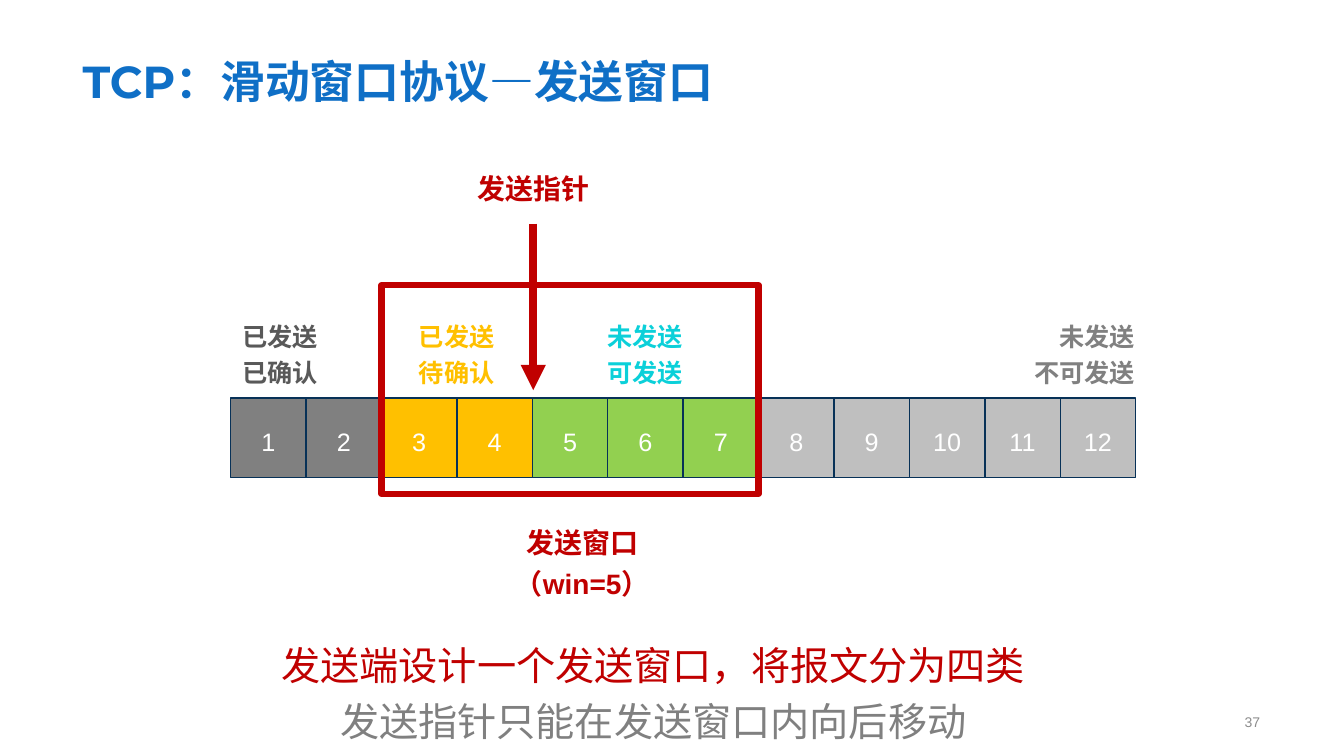
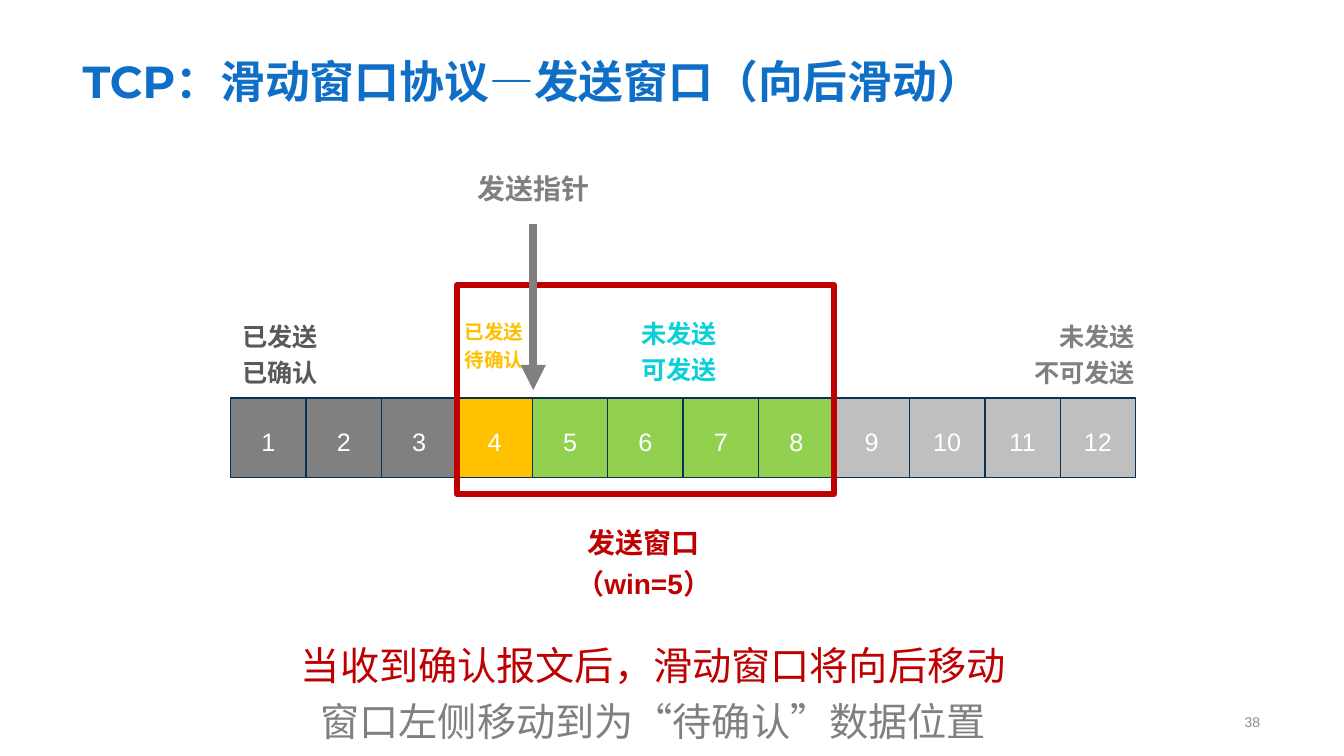
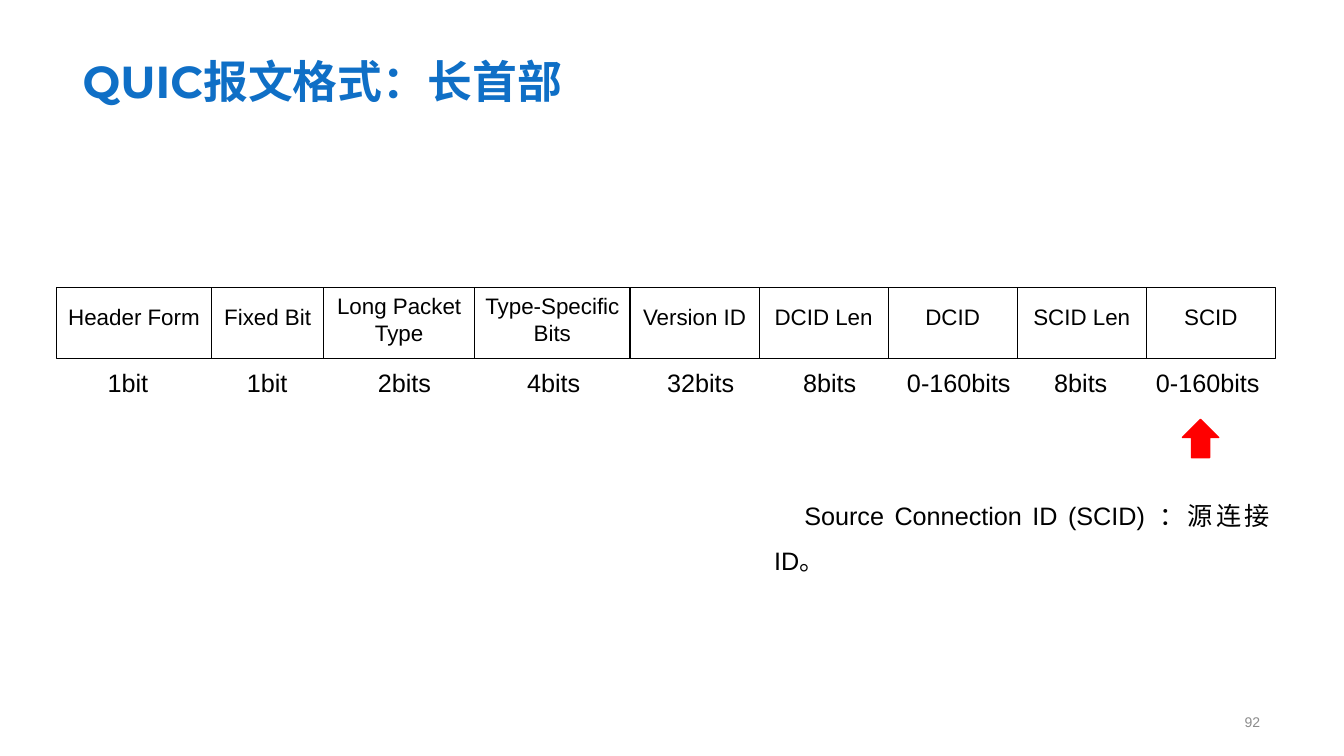
from dataclasses import dataclass
from typing import Any

from pptx import Presentation
from pptx.dml.color import RGBColor
from pptx.enum.lang import MSO_LANGUAGE_ID
from pptx.enum.shapes import MSO_CONNECTOR, MSO_SHAPE
from pptx.enum.text import MSO_ANCHOR, MSO_AUTO_SIZE, PP_ALIGN
from pptx.oxml.ns import qn
from pptx.util import Pt
from lxml.etree import SubElement

# Shared colours
TITLE_BLUE = RGBColor(0x0F, 0x6F, 0xC6)
NUMBER_GRAY = RGBColor(0x8C, 0x8C, 0x8C)
NAVY = RGBColor(0x07, 0x31, 0x57)
CRIMSON = RGBColor(0xC0, 0x00, 0x00)
RED = RGBColor(0xFF, 0x00, 0x00)
BLACK = RGBColor(0x00, 0x00, 0x00)
WHITE = RGBColor(0xFF, 0xFF, 0xFF)
DARK_GRAY = RGBColor(0x59, 0x59, 0x59)
GRAY = RGBColor(0x80, 0x80, 0x80)
LIGHT_GRAY = RGBColor(0xBF, 0xBF, 0xBF)
AMBER = RGBColor(0xFF, 0xC0, 0x00)
GREEN = RGBColor(0x92, 0xD0, 0x50)
CYAN = RGBColor(0x0B, 0xD0, 0xD9)

# Packet row geometry, in points
PACKET_COUNT = 12
WINDOW_SIZE = 5
ROW_LEFT, ROW_TOP = 164.8, 284.4
PACKET_WIDTH, PACKET_HEIGHT = 53.87, 56.9
POINTER_X = 380.9

# Header field geometry, in points
FIELDS_LEFT, FIELDS_TOP, FIELD_HEIGHT = 40.3, 205.2, 51.1
BITS_TOP = 259


@dataclass(frozen=True)
class Box:
    left: float
    top: float
    width: float
    height: float

    def lengths(self) -> tuple[Pt, ...]:
        return tuple(Pt(v) for v in (self.left, self.top, self.width, self.height))


@dataclass(frozen=True)
class TextStyle:
    size: float
    color: RGBColor
    bold: bool = False
    align: PP_ALIGN = PP_ALIGN.CENTER
    spacing: float = 1.2
    font: str = "Arial"


@dataclass(frozen=True)
class Label:
    lines: tuple[str, ...]
    box: Box
    style: TextStyle


@dataclass(frozen=True)
class WindowSlide:
    title: str
    number: str
    window_start: int
    pointer_color: RGBColor
    window_label_left: float
    pending: Label
    sendable: Label
    summary: tuple[str, str]


@dataclass(frozen=True)
class HeaderField:
    name: str
    width: float
    bits: str
    bits_left: float
    bits_width: float
    two_lines: bool = False


def apply_format(target: Any, values: dict[str, Any]) -> None:
    for attribute, value in values.items():
        setattr(target, attribute, value)


def write_lines(frame: Any, lines: tuple[str, ...], style: TextStyle,
                colors: tuple[RGBColor, ...] = ()) -> None:
    for index, line in enumerate(lines):
        paragraph = frame.paragraphs[0] if index == 0 else frame.add_paragraph()
        apply_format(paragraph, {"alignment": style.align, "line_spacing": style.spacing})
        run = paragraph.add_run()
        run.text = line
        apply_format(run.font, {
            "name": style.font,
            "size": Pt(style.size),
            "bold": style.bold,
            "language_id": MSO_LANGUAGE_ID.SIMPLIFIED_CHINESE,
        })
        run.font.color.rgb = colors[index] if colors else style.color


def add_text(slide: Any, label: Label, colors: tuple[RGBColor, ...] = (),
             **frame_values: Any) -> Any:
    frame = slide.shapes.add_textbox(*label.box.lengths()).text_frame
    apply_format(frame, {"word_wrap": True,
                         "auto_size": MSO_AUTO_SIZE.SHAPE_TO_FIT_TEXT} | frame_values)
    write_lines(frame, label.lines, label.style, colors)
    return frame


def add_block(shapes: Any, box: Box, fill: RGBColor | None, line: RGBColor,
              line_width: float, kind: MSO_SHAPE = MSO_SHAPE.RECTANGLE) -> Any:
    block = shapes.add_shape(kind, *box.lengths())
    block.shadow.inherit = False
    if fill is None:
        block.fill.background()
    else:
        block.fill.solid()
        block.fill.fore_color.rgb = fill
    block.line.color.rgb = line
    block.line.width = Pt(line_width)
    return block


def add_pointer(slide: Any, color: RGBColor) -> None:
    pointer = slide.shapes.add_connector(
        MSO_CONNECTOR.STRAIGHT, Pt(POINTER_X), Pt(159.8), Pt(POINTER_X), Pt(278.6))
    pointer.line.color.rgb = color
    pointer.line.width = Pt(6)
    SubElement(pointer.line._get_or_add_ln(), qn("a:tailEnd"), type="triangle")
    SubElement(pointer._element.spPr, qn("a:effectLst"))


# Styles and boxes
TITLE_STYLE = TextStyle(32, TITLE_BLUE, True, PP_ALIGN.LEFT, 1.0, "Montserrat")
TITLE_BOX = Box(51.8, 10.1, 855.4, 70.6)
NUMBER_STYLE = TextStyle(10, NUMBER_GRAY, align=PP_ALIGN.RIGHT, spacing=1.0)
NUMBER_BOX = Box(612, 504.7, 295.2, 21.6)
PACKET_STYLE = TextStyle(18, WHITE)
FIELD_STYLE = TextStyle(16, BLACK, spacing=1.0)
BITS_STYLE = TextStyle(18, BLACK, align=PP_ALIGN.LEFT, spacing=1.0)
NOTE_STYLE = TextStyle(18, BLACK, align=PP_ALIGN.JUSTIFY, spacing=1.5)
SUMMARY_STYLE = TextStyle(28, CRIMSON)
SUMMARY_BOX = Box(143.3, 447.8, 646.6, 85)


def state_label(lines: tuple[str, ...], left: float, color: RGBColor, size: float = 18,
                top: float = 221.8, width: float = 79.2,
                align: PP_ALIGN = PP_ALIGN.CENTER) -> Label:
    return Label(lines, Box(left, top, width, 3.2 * size), TextStyle(size, color, True, align))


def callout(text: str, left: float, top: float, color: RGBColor) -> Label:
    return Label((text,), Box(left, top, 179.3, 33.8), TextStyle(20, color, True))


CONFIRMED = state_label(("已发送", "已确认"), 160.6, DARK_GRAY)
BLOCKED = state_label(("未发送", "不可发送"), 715.7, GRAY, width=102.2, align=PP_ALIGN.RIGHT)

WINDOW_SLIDES = (
    WindowSlide(
        "TCP：滑动窗口协议—发送窗口", "37", 3, CRIMSON, 326.2,
        state_label(("已发送", "待确认"), 286.6, AMBER),
        state_label(("未发送", "可发送"), 421.2, CYAN),
        ("发送端设计一个发送窗口，将报文分为四类", "发送指针只能在发送窗口内向后移动"),
    ),
    WindowSlide(
        "TCP：滑动窗口协议—发送窗口（向后滑动）", "38", 4, GRAY, 370.1,
        state_label(("已发送", "待确认"), 313.2, AMBER, size=14),
        state_label(("未发送", "可发送"), 445.7, CYAN, top=219.6),
        ("当收到确认报文后，滑动窗口将向后移动", "窗口左侧移动到为“待确认”数据位置"),
    ),
)

HEADER_FIELDS = (
    HeaderField("Header Form", 110.9, "1bit", 69.8, 43.9),
    HeaderField("Fixed Bit", 79.9, "1bit", 169.2, 43.9),
    HeaderField("Long Packet Type", 108, "2bits", 262.8, 52.6, True),
    HeaderField("Type-Specific Bits", 110.9, "4bits", 369.4, 52.6, True),
    HeaderField("Version ID", 92.2, "32bits", 469.4, 63.4),
    HeaderField("DCID Len", 92.2, "8bits", 566.6, 52.6),
    HeaderField("DCID", 92.2, "0-160bits", 640.8, 89.3),
    HeaderField("SCID Len", 92.2, "8bits", 745.9, 52.6),
    HeaderField("SCID", 92.2, "0-160bits", 818.6, 89.3),
)


def start_slide(deck: Any, title: str, number: str) -> Any:
    slide = deck.slides.add_slide(deck.slide_layouts[5])
    heading = slide.shapes.title
    apply_format(heading, dict(zip(("left", "top", "width", "height"), TITLE_BOX.lengths())))
    apply_format(heading.text_frame, {"vertical_anchor": MSO_ANCHOR.BOTTOM,
                                      "word_wrap": True, "auto_size": MSO_AUTO_SIZE.NONE})
    write_lines(heading.text_frame, (title,), TITLE_STYLE)
    add_text(slide, Label((number,), NUMBER_BOX, NUMBER_STYLE),
             vertical_anchor=MSO_ANCHOR.MIDDLE, auto_size=MSO_AUTO_SIZE.NONE)
    return slide


def packet_color(number: int, window_start: int) -> RGBColor:
    if number < window_start:
        return GRAY
    if number >= window_start + WINDOW_SIZE:
        return LIGHT_GRAY
    # The pointer stands between packets 4 and 5
    return AMBER if number < 5 else GREEN


def build_window_slide(deck: Any, content: WindowSlide) -> None:
    slide = start_slide(deck, content.title, content.number)
    add_text(slide, Label(content.summary, SUMMARY_BOX, SUMMARY_STYLE), (CRIMSON, GRAY))

    # Numbered packets
    row = slide.shapes.add_group_shape()
    for number in range(1, PACKET_COUNT + 1):
        box = Box(ROW_LEFT + (number - 1) * PACKET_WIDTH, ROW_TOP, PACKET_WIDTH, PACKET_HEIGHT)
        packet = add_block(row.shapes, box, packet_color(number, content.window_start), NAVY, 1)
        packet.text_frame.vertical_anchor = MSO_ANCHOR.MIDDLE
        write_lines(packet.text_frame, (str(number),), PACKET_STYLE)

    # Send window frame
    window_left = ROW_LEFT + (content.window_start - 1) * PACKET_WIDTH
    add_block(slide.shapes, Box(window_left, 203.8, WINDOW_SIZE * PACKET_WIDTH, 149),
              None, CRIMSON, 4.5)

    # State labels, window label and send pointer
    for label in (CONFIRMED, content.pending, content.sendable, BLOCKED,
                  callout("发送窗口（win=5）", content.window_label_left, 367.2, CRIMSON)):
        add_text(slide, label)
    add_pointer(slide, content.pointer_color)
    add_text(slide, callout("发送指针", 291.6, 114.5, content.pointer_color))


def build_header_slide(deck: Any) -> None:
    slide = start_slide(deck, "QUIC报文格式：长首部", "92")

    # Fields with their lengths below
    left = FIELDS_LEFT
    for field in HEADER_FIELDS:
        cell = add_block(slide.shapes, Box(left, FIELDS_TOP, field.width, FIELD_HEIGHT),
                         None, BLACK, 0.75)
        apply_format(cell.text_frame, {
            "word_wrap": True,
            "vertical_anchor": MSO_ANCHOR.TOP,
            "margin_top": Pt(3.6 if field.two_lines else 11.5),
        })
        write_lines(cell.text_frame, (field.name,), FIELD_STYLE)
        bits_box = Box(field.bits_left, BITS_TOP, field.bits_width, 28.8)
        add_text(slide, Label((field.bits,), bits_box, BITS_STYLE), word_wrap=False)
        left += field.width

    # Arrow and note for the source connection ID
    add_block(slide.shapes, Box(844.6, 299.5, 25.9, 27.4), RED, RED, 1, MSO_SHAPE.UP_ARROW)
    note = add_text(slide, Label(("Source Connection ID (SCID) ：源连接ID。",),
                                 Box(545.8, 342.7, 368.6, 36), NOTE_STYLE))
    note.paragraphs[0]._p.get_or_add_pPr().set("indent", str(Pt(21.6)))


def main() -> None:
    deck = Presentation()
    deck.slide_width, deck.slide_height = Pt(960), Pt(540)
    for content in WINDOW_SLIDES:
        build_window_slide(deck, content)
    build_header_slide(deck)
    deck.save("out.pptx")


if __name__ == "__main__":
    main()
